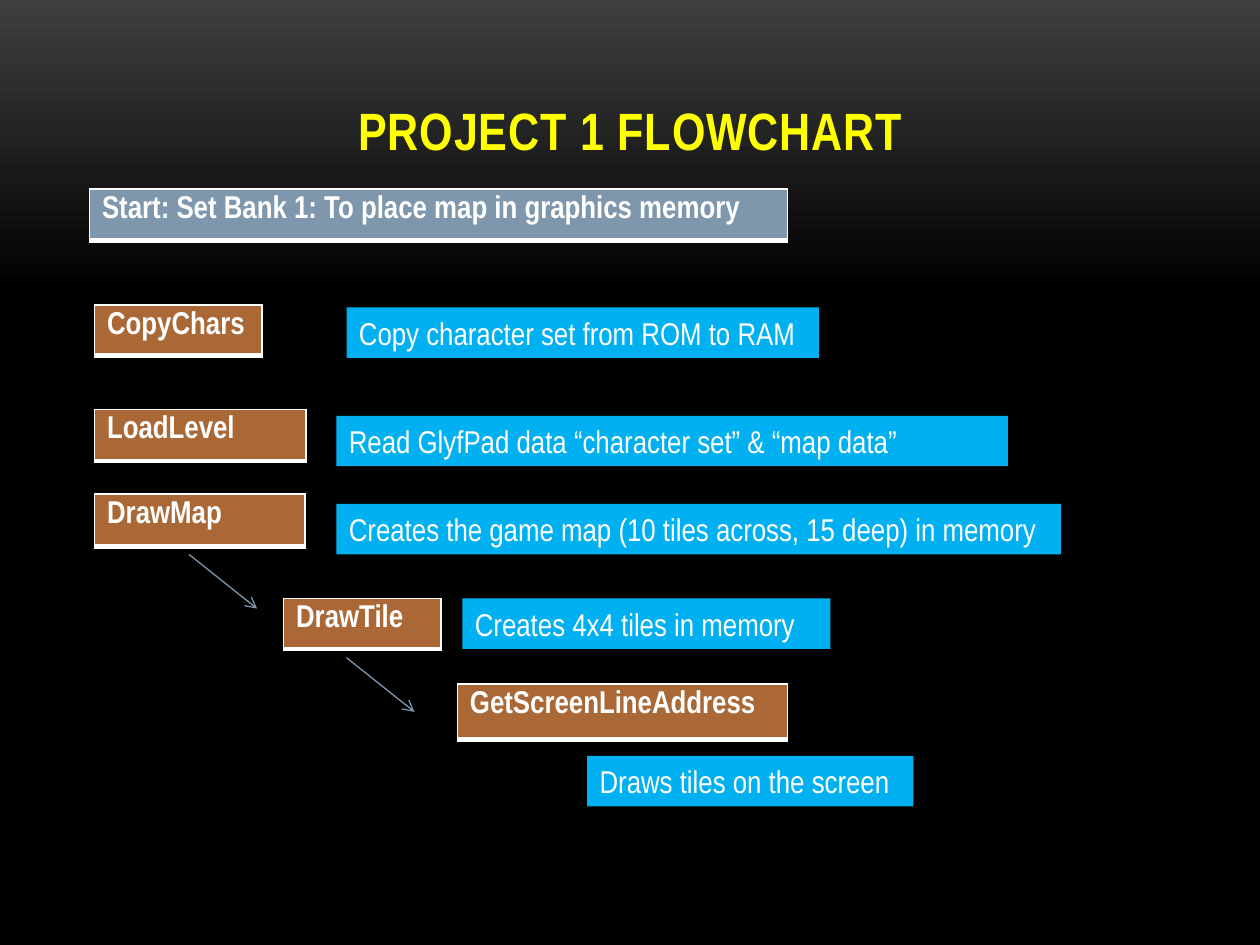
from copy import deepcopy
from typing import NamedTuple

from lxml import etree
from pptx import Presentation
from pptx.dml.color import RGBColor
from pptx.enum.shapes import MSO_CONNECTOR, MSO_SHAPE
from pptx.enum.text import MSO_ANCHOR, PP_ALIGN
from pptx.oxml.ns import qn
from pptx.util import Inches, Pt

STRAIGHT = MSO_CONNECTOR.STRAIGHT
RECT = MSO_SHAPE.RECTANGLE
TOP, BOTTOM = MSO_ANCHOR.TOP, MSO_ANCHOR.BOTTOM
LEFT, CENTER = PP_ALIGN.LEFT, PP_ALIGN.CENTER

FONT = "Arial Narrow"
WHITE, BLACK, GREY = "FFFFFF", "000000", "3F3F3F"
YELLOW, SLATE, BROWN, BLUE = "FFFF00", "7E97AD", "AA6837", "00B0F0"
NOTE_H = 0.4
ARROW_W, ARROW_H = 0.54, 0.43


class Step(NamedTuple):
    text: str
    x: float
    y: float
    w: float
    h: float
    fill: str = BROWN


class Note(NamedTuple):
    text: str
    x: float
    y: float
    w: float


STEPS = [
    Step("Start: Set Bank 1: To place map in graphics memory", 0.71, 1.5, 5.54, 0.41, SLATE),
    Step("CopyChars", 0.75, 2.42, 1.33, 0.33),
    Step("LoadLevel", 0.75, 3.25, 1.68, 0.41),
    Step("DrawMap", 0.75, 3.92, 1.67, 0.42),
    Step("DrawTile", 2.25, 4.75, 1.25, 0.4),
    Step("GetScreenLineAddress", 3.63, 5.43, 2.62, 0.44),
]
NOTES = [
    Note("Copy character set from ROM to RAM", 2.75, 2.44, 3.75),
    Note("Read GlyfPad data “character set” & “map data”", 2.67, 3.3, 5.33),
    Note("Creates the game map (10 tiles across, 15 deep) in memory", 2.67, 4, 5.75),
    Note("Creates 4x4 tiles in memory", 3.67, 4.75, 2.92),
    Note("Draws tiles on the screen", 4.66, 6, 2.59),
]
ARROWS = [(1.5, 4.4), (2.75, 5.22)]


def rgb(code: str) -> RGBColor:
    return RGBColor.from_string(code)


def add_text(tf, text: str, size: float = 18, color: str = WHITE,
             bold: bool = False, align=LEFT):
    p = tf.paragraphs[0]
    p.alignment = align
    r = p.add_run()
    r.text = text
    r.font.name = FONT
    r.font.size = Pt(size)
    r.font.bold = bold
    r.font.color.rgb = rgb(color)
    return r


def set_background(s) -> None:
    fill = s.background.fill
    fill.gradient()
    fill.gradient_angle = 270
    first, middle = fill.gradient_stops
    first.color.rgb, first.position = rgb(GREY), 0
    middle.color.rgb, middle.position = rgb(BLACK), 0.31
    # A third stop keeps the lower part black
    gs = s.background._cSld.findall(".//" + qn("a:gs"))[-1]
    last = deepcopy(gs)
    last.set("pos", "100000")
    gs.addnext(last)


def add_title(s, text: str) -> None:
    sp = s.shapes.add_textbox(Inches(0.67), Inches(0.3), Inches(8.67), Inches(1.03))
    tf = sp.text_frame
    tf.word_wrap = True
    tf.vertical_anchor = BOTTOM
    r = add_text(tf, text, 30, YELLOW, True, CENTER)
    r.font._element.set("spc", "50")


def set_borders(cell) -> None:
    tc_pr = cell._tc.get_or_add_tcPr()
    for i, (side, width) in enumerate((("L", 1), ("R", 1), ("T", 1), ("B", 3))):
        ln = etree.Element(qn(f"a:ln{side}"), w=str(Pt(width)))
        fill = etree.SubElement(ln, qn("a:solidFill"))
        etree.SubElement(fill, qn("a:srgbClr"), val=WHITE)
        tc_pr.insert(i, ln)


def add_step(s, step: Step) -> None:
    sp = s.shapes.add_table(1, 1, Inches(step.x), Inches(step.y),
                            Inches(step.w), Inches(step.h))
    cell = sp.table.cell(0, 0)
    cell.margin_top = cell.margin_bottom = Inches(0.05)
    cell.vertical_anchor = TOP
    cell.fill.solid()
    cell.fill.fore_color.rgb = rgb(step.fill)
    set_borders(cell)
    add_text(cell.text_frame, step.text, bold=True)


def add_note(s, note: Note) -> None:
    sp = s.shapes.add_shape(RECT, Inches(note.x), Inches(note.y),
                            Inches(note.w), Inches(NOTE_H))
    sp.shadow.inherit = False
    sp.fill.solid()
    sp.fill.fore_color.rgb = rgb(BLUE)
    sp.line.fill.background()
    tf = sp.text_frame
    tf.word_wrap = True
    tf.vertical_anchor = TOP
    add_text(tf, note.text)


def add_arrow(s, x: float, y: float) -> None:
    cxn = s.shapes.add_connector(STRAIGHT, Inches(x), Inches(y),
                                 Inches(x + ARROW_W), Inches(y + ARROW_H))
    cxn.line.color.rgb = rgb(SLATE)
    cxn.line.width = Pt(0.75)
    etree.SubElement(cxn.line._get_or_add_ln(), qn("a:tailEnd"), type="arrow")
    etree.SubElement(cxn._element.spPr, qn("a:effectLst"))


def main() -> None:
    prs = Presentation()
    prs.slide_width, prs.slide_height = Inches(10), Inches(7.5)
    s = prs.slides.add_slide(prs.slide_layouts[6])
    set_background(s)
    add_title(s, "PROJECT 1 FLOWCHART")

    # Routines, what each one does, and the calls between them
    for step in STEPS:
        add_step(s, step)
    for note in NOTES:
        add_note(s, note)
    for x, y in ARROWS:
        add_arrow(s, x, y)

    prs.save("out.pptx")


if __name__ == "__main__":
    main()
